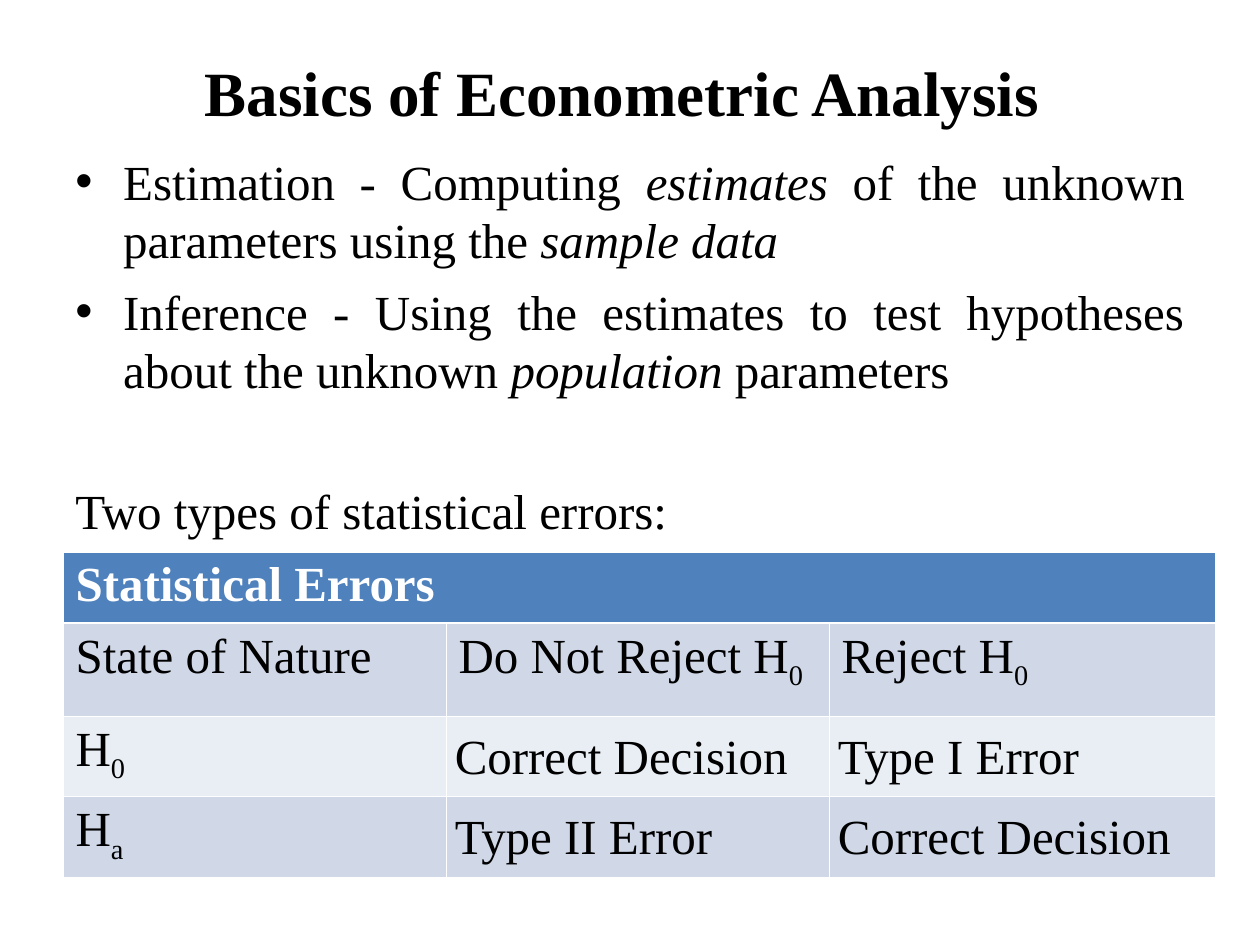
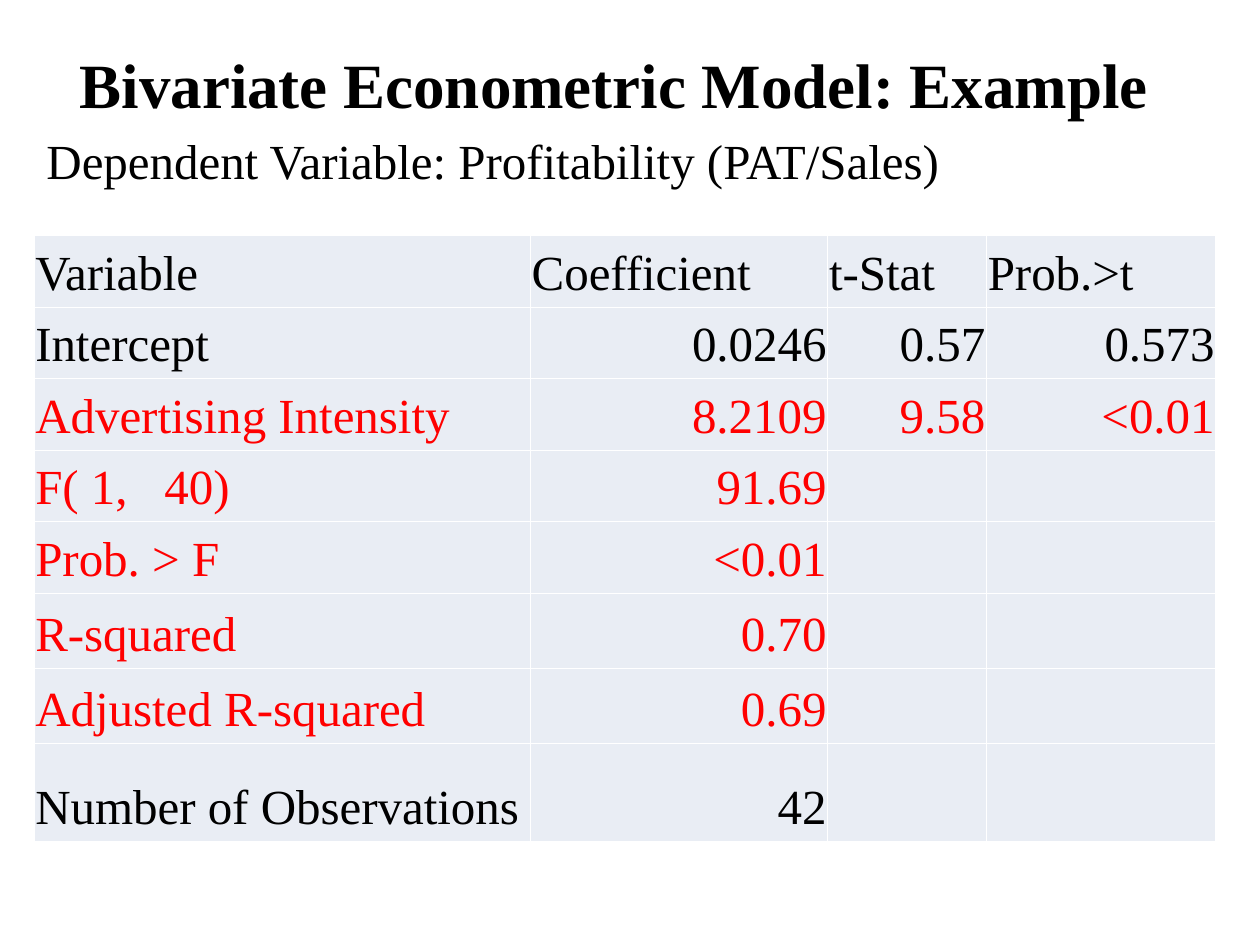
from lxml import etree
from pptx import Presentation
from pptx.dml.color import RGBColor
from pptx.enum.text import MSO_ANCHOR, PP_ALIGN
from pptx.oxml.ns import qn
from pptx.util import Inches, Pt

LEFT, CENTER, RIGHT, JUSTIFY = PP_ALIGN.LEFT, PP_ALIGN.CENTER, PP_ALIGN.RIGHT, PP_ALIGN.JUSTIFY
TOP, MIDDLE, BOTTOM = MSO_ANCHOR.TOP, MSO_ANCHOR.MIDDLE, MSO_ANCHOR.BOTTOM

FONT = "Times New Roman"
TITLE_SIZE, BODY_SIZE = 36, 28
BLACK, WHITE, RED = "000000", "FFFFFF", "FF0000"
HEADER_BLUE, BAND_DARK, BAND_LIGHT = "4F81BD", "D0D8E8", "E9EDF4"
THIN, THICK = 0.45, 1.47
TITLE_ONLY = 5

ERROR_ROWS = [
    ["State of Nature", [("Do Not Reject H", ""), ("0", "sub")], [("Reject H", ""), ("0", "sub")]],
    [[("H", ""), ("0", "sub")], "Correct Decision", "Type I Error"],
    [[("H", ""), ("a", "sub")], "Type II Error", "Correct Decision"],
]
REGRESSION_ROWS = [
    (BLACK, ["Variable", "Coefficient", "t-Stat", "Prob.>t"]),
    (BLACK, ["Intercept", "0.0246", "0.57", "0.573"]),
    (RED, ["Advertising Intensity", "8.2109", "9.58", "<0.01"]),
    (RED, ["F( 1,   40)", "91.69"]),
    (RED, ["Prob. > F", "<0.01"]),
    (RED, ["R-squared", "0.70"]),
    (RED, ["Adjusted R-squared", "0.69"]),
    (BLACK, ["Number of Observations", "42"]),
]


def color(value):
    return RGBColor.from_string(value)


def write(para, pieces, size=BODY_SIZE, ink=BLACK, bold=False, align=LEFT):
    """Fill a paragraph from a string or from (text, style) pairs."""
    para.alignment = align
    if isinstance(pieces, str):
        pieces = [(pieces, "")]
    for text, style in pieces:
        span = para.add_run()
        span.text = text
        font = span.font
        font.name, font.size, font.bold = FONT, Pt(size), bold
        font.italic = style == "italic"
        font.color.rgb = color(ink)
        if style == "sub":
            span._r.get_or_add_rPr().set("baseline", "-25000")


def add_bullet(para):
    properties = para._p.get_or_add_pPr()
    properties.set("marL", str(Inches(0.38)))
    properties.set("indent", str(-Inches(0.38)))
    etree.SubElement(properties, qn("a:buFont")).set("typeface", "Arial")
    etree.SubElement(properties, qn("a:buChar")).set("char", "•")


def add_page(deck, title, box):
    page = deck.slides.add_slide(deck.slide_layouts[TITLE_ONLY])
    heading = page.shapes.title
    heading.left, heading.top, heading.width, heading.height = map(Inches, box)
    heading.text_frame.vertical_anchor = MIDDLE
    write(heading.text_frame.paragraphs[0], title, TITLE_SIZE, bold=True, align=CENTER)
    return page


def add_body(page, box, paragraphs):
    """Each paragraph is (pieces, bulleted, space before in points)."""
    frame = page.shapes.add_textbox(*map(Inches, box)).text_frame
    frame.word_wrap = True
    for index, (pieces, bulleted, space) in enumerate(paragraphs):
        para = frame.add_paragraph() if index else frame.paragraphs[0]
        write(para, pieces, align=JUSTIFY)
        para.space_before = Pt(space)
        if bulleted:
            add_bullet(para)


def add_grid(page, left, top, widths, heights):
    frame = page.shapes.add_table(len(heights), len(widths), Inches(left), Inches(top),
                                  Inches(sum(widths)), Inches(sum(heights)))
    table = frame.table
    table.first_row = table.horz_banding = False
    for column, width in zip(table.columns, widths):
        column.width = Inches(width)
    for row, height in zip(table.rows, heights):
        row.height = Inches(height)
    return table


def style_cell(cell, fill, anchor=TOP, side_margin=0.1, above=THIN, below=THIN):
    properties = cell._tc.get_or_add_tcPr()
    for side, width in (("L", THIN), ("R", THIN), ("T", above), ("B", below)):
        line = etree.SubElement(properties, qn(f"a:ln{side}"), w=str(Pt(width)))
        solid = etree.SubElement(line, qn("a:solidFill"))
        etree.SubElement(solid, qn("a:srgbClr"), val=WHITE)
    cell.fill.solid()
    cell.fill.fore_color.rgb = color(fill)
    cell.vertical_anchor = anchor
    cell.margin_left = cell.margin_right = Inches(side_margin)


def add_error_table(page, left, top):
    table = add_grid(page, left, top, [3.04, 3.04, 3.07], [0.54, 0.74, 0.59, 0.59])
    # Header across all columns
    for cell in table.rows[0].cells:
        style_cell(cell, HEADER_BLUE, below=THICK)
    header = table.cell(0, 0)
    header.merge(table.cell(0, 2))
    write(header.text_frame.paragraphs[0], "Statistical Errors", ink=WHITE, bold=True)
    # Banded rows; decisions sit a little lower than the labels
    for row, entries in enumerate(ERROR_ROWS, 1):
        for column, pieces in enumerate(entries):
            cell = table.cell(row, column)
            decision = row > 1 and column > 0
            style_cell(cell, BAND_DARK if row % 2 else BAND_LIGHT,
                       side_margin=0.07 if decision else 0.1,
                       above=THICK if row == 1 else THIN)
            para = cell.text_frame.paragraphs[0]
            write(para, pieces)
            if decision:
                para.line_spacing = 1.15


def add_regression_table(page, left, top):
    table = add_grid(page, left, top, [3.94, 2.36, 1.26, 1.82],
                     [0.48] * 5 + [0.6, 0.59, 0.78])
    for row, (ink, entries) in enumerate(REGRESSION_ROWS):
        for cell in table.rows[row].cells:
            style_cell(cell, BAND_LIGHT, BOTTOM, 0.01)
        for column, text in enumerate(entries):
            write(table.cell(row, column).text_frame.paragraphs[0], text, ink=ink,
                  align=RIGHT if row and column else LEFT)


def build_basics(deck):
    page = add_page(deck, "Basics of Econometric Analysis ", (0.5, 0.3, 9, 0.85))
    add_body(page, (0.5, 1.15, 9, 6.11), [
        ([("Estimation - Computing ", ""), ("estimates ", "italic"),
          ("of the unknown parameters using the ", ""), ("sample data", "italic")], True, 7),
        ([("Inference - Using the estimates to test hypotheses about the unknown ", ""),
          ("population ", "italic"), ("parameters", "")], True, 7),
        ("Two types of statistical errors:", False, 47),
    ])
    add_error_table(page, 0.5, 4.38)


def build_example(deck):
    page = add_page(deck, "Bivariate Econometric Model: Example", (0.27, 0.23, 9.21, 0.86))
    add_body(page, (0.27, 0.99, 9.45, 6.24),
             [("Dependent Variable: Profitability (PAT/Sales)", False, 7)])
    add_regression_table(page, 0.27, 1.87)


def main():
    deck = Presentation()
    deck.slide_width, deck.slide_height = Inches(10), Inches(7.5)
    build_basics(deck)
    build_example(deck)
    deck.save("out.pptx")


if __name__ == "__main__":
    main()
